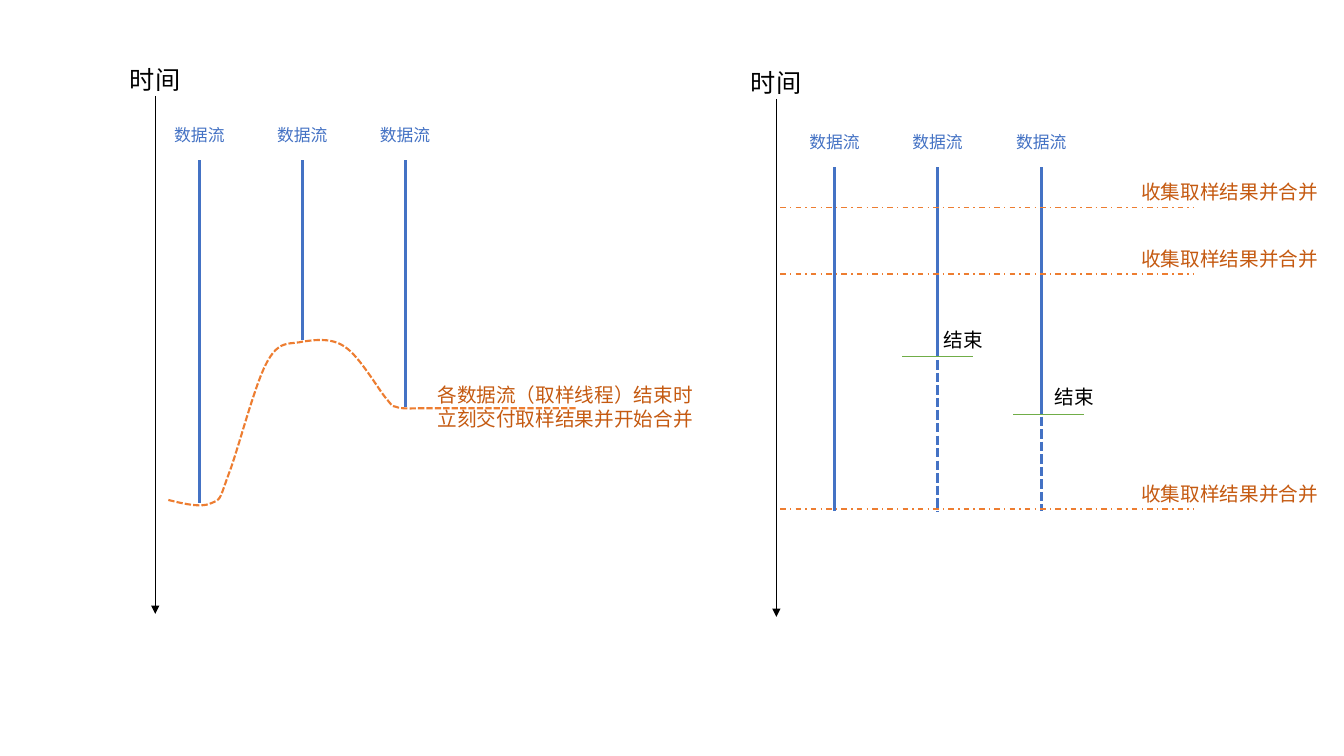
"""Two timelines comparing when sampling results of data streams are merged."""
from pptx import Presentation
from pptx.dml.color import RGBColor
from pptx.enum.dml import MSO_LINE
from pptx.enum.shapes import MSO_CONNECTOR
from pptx.enum.text import MSO_AUTO_SIZE
from pptx.util import Inches, Pt
from lxml import etree

COLORS = {"stream": "4472C4", "merge": "ED7D31", "note": "C55A11",
          "end": "70AD47", "axis": "000000"}
NS = "http://schemas.openxmlformats.org/drawingml/2006/main"
STREAM, TIME, END = "数据流", "时间", "结束"
MERGE = "收集取样结果并合并"
DELIVER = "各数据流（取样线程）结束时立刻交付取样结果并开始合并"

PANELS = [
    {"axis": (7.7, 0.98), "top": 1.66,
     "streams": [(8.28, 5.07), (9.3, 3.45), (10.33, 4.12)]},
    {"axis": (1.54, 0.95), "top": 1.59,
     "streams": [(1.98, 4.99), (3, 3.37), (4.02, 4.04)]},
]
WAITING = [(9.3, 3.45), (10.33, 3.76)]
WAIT_END = 5.07
MERGES = [2.06, 2.72, 5.05]
ENDS = [(9.3, 3.54), (10.4, 4.11)]
CURVE_START = (1.67, 4.96)
CURVES = [
    ((1.83, 5), (2, 5.04), (2.1, 4.99)),
    ((2.2, 4.95), (2.18, 4.94), (2.27, 4.7)),
    ((2.36, 4.47), (2.53, 3.8), (2.65, 3.59)),
    ((2.77, 3.37), (2.87, 3.42), (3, 3.39)),
    ((3.13, 3.37), (3.29, 3.35), (3.42, 3.44)),
    ((3.56, 3.53), (3.74, 3.84), (3.82, 3.94)),
    ((3.91, 4.05), (3.88, 4.02), (3.94, 4.04)),
    ((3.99, 4.06), (4.15, 4.05), (4.15, 4.05)),
]
CURVE_END = (5.73, 4.05)
STEPS = 12

prs = Presentation()
prs.slide_width, prs.slide_height = Inches(13.33), Inches(7.5)
s = prs.slides.add_slide(prs.slide_layouts[6])


def rgb(name):
    return RGBColor.from_string(COLORS[name])


def style_line(line, color, width, dash=None):
    line.color.rgb = rgb(color)
    line.width = Pt(width)
    if dash:
        line.dash_style = dash


def add_line(x1, y1, x2, y2, color, width, dash=None, arrow=False):
    c = s.shapes.add_connector(MSO_CONNECTOR.STRAIGHT, *map(Inches, (x1, y1, x2, y2)))
    style_line(c.line, color, width, dash)
    if arrow:
        etree.SubElement(c.line._get_or_add_ln(), f"{{{NS}}}tailEnd", type="triangle")
    etree.SubElement(c._element.spPr, f"{{{NS}}}effectLst")


def add_text(text, x, y, w, h, size, color):
    tf = s.shapes.add_textbox(*map(Inches, (x, y, w, h))).text_frame
    tf.word_wrap = True
    tf.auto_size = MSO_AUTO_SIZE.SHAPE_TO_FIT_TEXT
    r = tf.paragraphs[0].add_run()
    r.text = text
    r.font.name, r.font.size = "Calibri", Pt(size)
    r.font.color.rgb = rgb(color)


def bezier(points, t):
    weights = ((1 - t) ** 3, 3 * t * (1 - t) ** 2, 3 * t * t * (1 - t), t ** 3)
    return tuple(sum(k * pt[i] for k, pt in zip(weights, points)) for i in (0, 1))


def add_merge_curve():
    points, start = [], CURVE_START
    for curve in CURVES:
        points += [bezier((start, *curve), n / STEPS) for n in range(1, STEPS + 1)]
        start = curve[-1]
    points.append(CURVE_END)
    fb = s.shapes.build_freeform(*map(Inches, CURVE_START))
    fb.add_line_segments([(Inches(x), Inches(y)) for x, y in points], close=False)
    sp = fb.convert_to_shape()
    sp.shadow.inherit = False
    sp.fill.background()
    style_line(sp.line, "merge", 1.5, MSO_LINE.SQUARE_DOT)


for panel in PANELS:
    x, y = panel["axis"]
    add_line(x, y, x, y + 5.14, "axis", 0.5, arrow=True)
    add_text(TIME, x - 0.35, y - 0.36, 0.88, 0.4, 18, "axis")
    top = panel["top"]
    for x, bottom in panel["streams"]:
        add_line(x, top, x, bottom, "stream", 2.25)
        add_text(STREAM, x - 0.35, top - 0.4, 0.7, 0.3, 12, "stream")

for x, y in WAITING:
    add_line(x, y, x, WAIT_END, "stream", 2.25, MSO_LINE.SQUARE_DOT)
for y in MERGES:
    add_line(7.74, y, 11.84, y, "merge", 1, MSO_LINE.DASH_DOT)
    add_text(MERGE, 11.22, y - 0.32, 2.11, 0.34, 14, "note")
for x, y in ENDS:
    add_line(x - 0.35, y, x + 0.35, y, "end", 0.5)
    add_text(END, x - 0.04, y - 0.34, 1.22, 0.34, 14, "axis")

add_text(DELIVER, 4.24, 3.75, 2.86, 0.57, 14, "note")
add_merge_curve()
prs.save("out.pptx")
